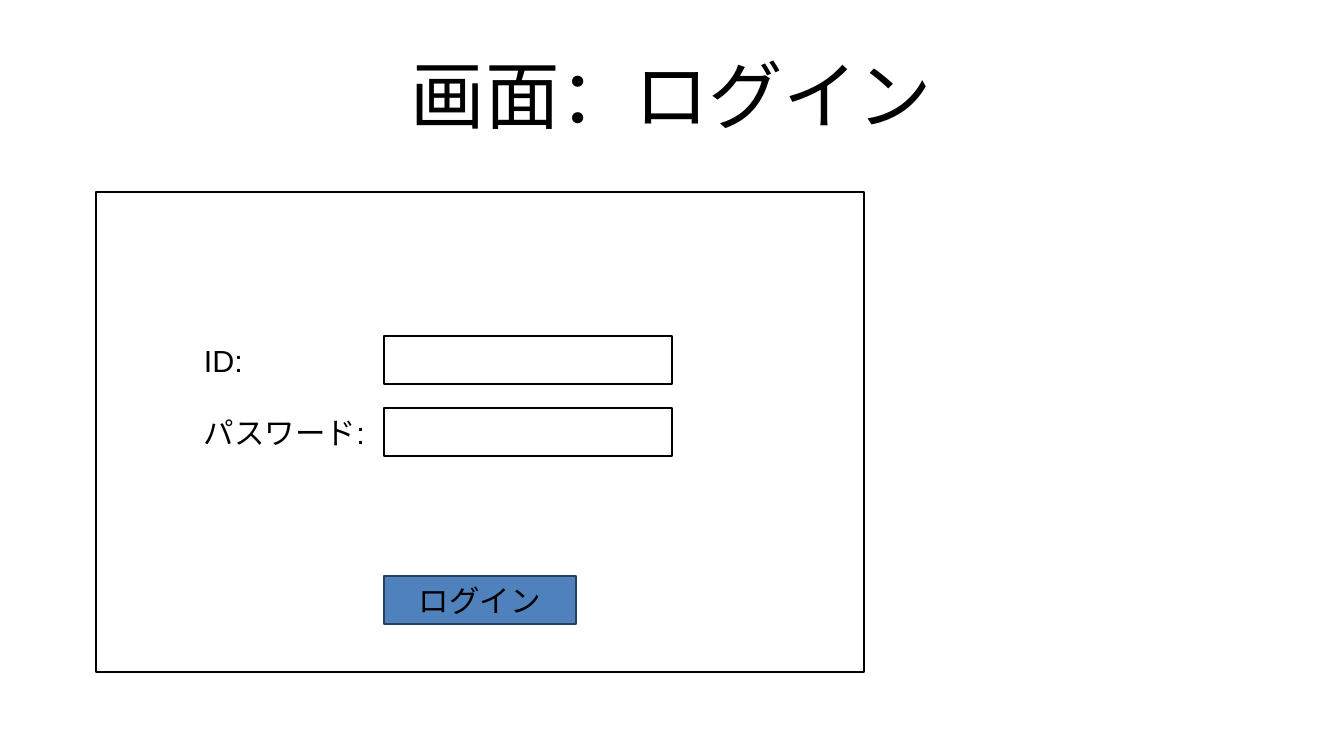
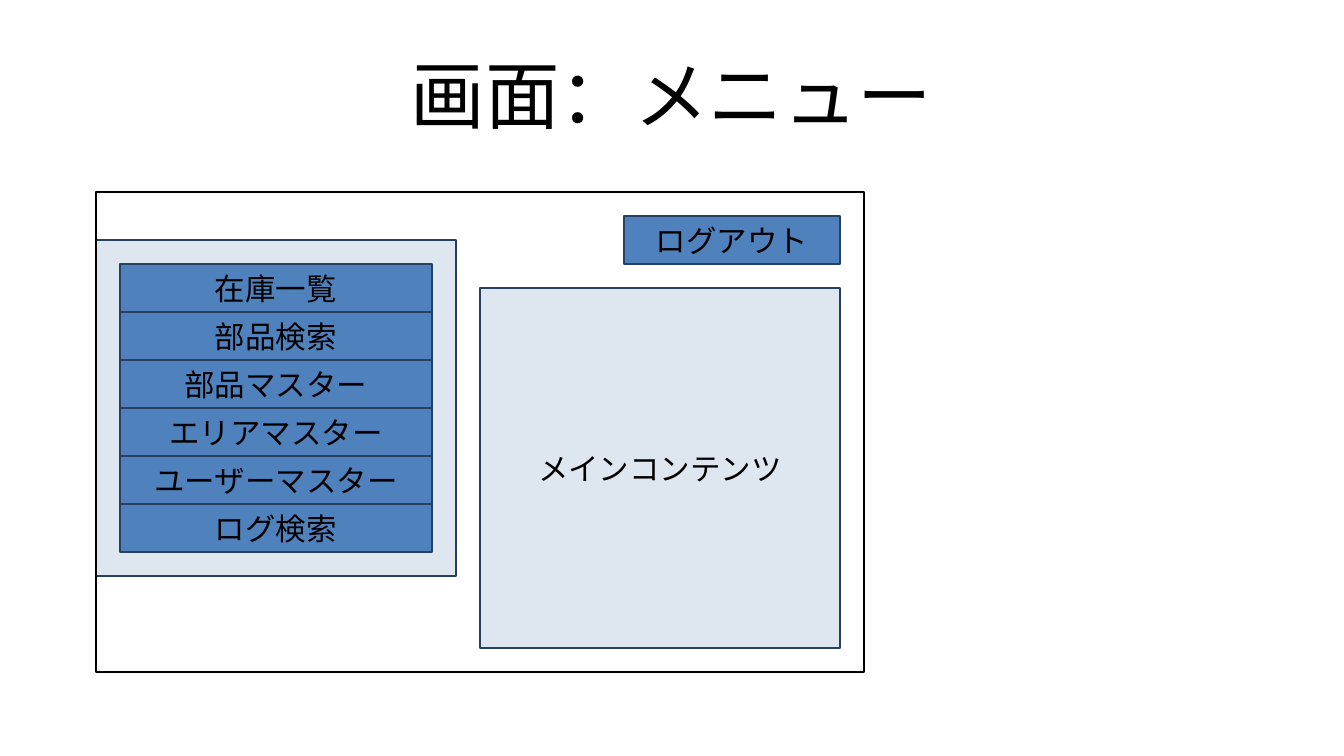
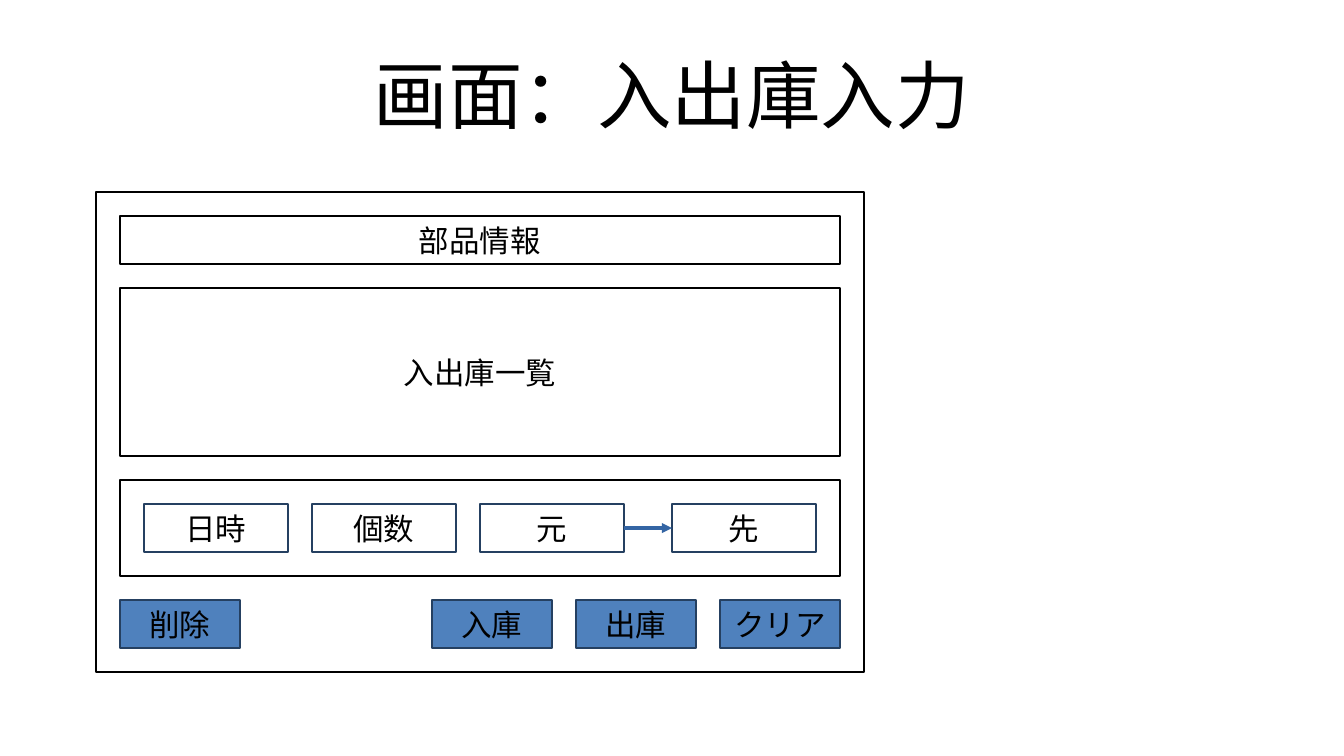
from dataclasses import dataclass

from lxml import etree
from pptx import Presentation
from pptx import util as u
from pptx.dml import color
from pptx.enum import shapes, text
from pptx.oxml import ns

COLOURS = {
    "ink": "000000",
    "button": "4F81BD",
    "panel": "DEE6EF",
    "edge": "254061",
    "arrow": "3465A4",
}
FONT = "Arial"
BODY_SIZE, TITLE_SIZE = 18, 44
ROW = 1  # height of buttons and fields, cm

INSETS = dict(margin_left=u.Cm(0.25), margin_right=u.Cm(0.25),
              margin_top=u.Cm(0.13), margin_bottom=u.Cm(0.13))
BOX_FRAME = dict(INSETS, word_wrap=True, vertical_anchor=text.MSO_ANCHOR.MIDDLE)
LABEL_FRAME = dict(INSETS, word_wrap=True, vertical_anchor=text.MSO_ANCHOR.TOP)
TITLE_FRAME = dict(BOX_FRAME, margin_left=0, margin_right=0,
                   margin_top=0, margin_bottom=0)


@dataclass(frozen=True)
class Box:
    """A rectangle; lengths in centimetres, colours by name."""
    left: float
    top: float
    width: float
    height: float = ROW
    caption: str = ""
    fill: str | None = None
    line: str = "ink"


@dataclass(frozen=True)
class Label:
    left: float
    top: float
    width: float
    height: float
    caption: str


@dataclass(frozen=True)
class Arrow:
    start: float
    end: float
    level: float


@dataclass(frozen=True)
class Screen:
    title: str
    widgets: list[Box | Label | Arrow]


WINDOW = Box(2, 4, 16, 10)


def button(left: float, top: float, width: float, caption: str) -> Box:
    return Box(left, top, width, ROW, caption, "button", "edge")


def rgb(name: str) -> color.RGBColor:
    return color.RGBColor.from_string(COLOURS[name])


def write(shape, caption: str, frame_format: dict, size: float, align) -> None:
    frame = shape.text_frame
    for name, value in frame_format.items():
        setattr(frame, name, value)
    paragraph = frame.paragraphs[0]
    paragraph.alignment = align
    run = paragraph.add_run()
    run.text = caption
    for name, value in dict(name=FONT, size=u.Pt(size)).items():
        setattr(run.font, name, value)
    run.font.color.rgb = rgb("ink")


def draw_box(slide, box: Box) -> None:
    shape = slide.shapes.add_shape(
        shapes.MSO_SHAPE.RECTANGLE,
        u.Cm(box.left), u.Cm(box.top), u.Cm(box.width), u.Cm(box.height))
    shape.shadow.inherit = False
    if box.fill:
        shape.fill.solid()
        shape.fill.fore_color.rgb = rgb(box.fill)
    else:
        shape.fill.background()
    shape.line.color.rgb = rgb(box.line)
    shape.line.width = 0
    if box.caption:
        write(shape, box.caption, BOX_FRAME, BODY_SIZE, text.PP_ALIGN.CENTER)


def draw_label(slide, label: Label, frame_format: dict = LABEL_FRAME,
               size: float = BODY_SIZE, align=text.PP_ALIGN.LEFT) -> None:
    shape = slide.shapes.add_textbox(
        u.Cm(label.left), u.Cm(label.top), u.Cm(label.width), u.Cm(label.height))
    write(shape, label.caption, frame_format, size, align)


def draw_arrow(slide, arrow: Arrow) -> None:
    connector = slide.shapes.add_connector(
        shapes.MSO_CONNECTOR.STRAIGHT,
        u.Cm(arrow.start), u.Cm(arrow.level), u.Cm(arrow.end), u.Cm(arrow.level))
    connector.line.color.rgb = rgb("arrow")
    connector.line.width = 0
    properties = connector.element.spPr
    etree.SubElement(properties.find(ns.qn("a:ln")), ns.qn("a:tailEnd"),
                     type="triangle")
    etree.SubElement(properties, ns.qn("a:effectLst"))


DRAW = {Box: draw_box, Label: draw_label, Arrow: draw_arrow}


def draw_screen(presentation, screen: Screen) -> None:
    slide = presentation.slides.add_slide(presentation.slide_layouts[6])
    draw_label(slide, Label(1.4, 0.63, 25.2, 2.63, screen.title),
               TITLE_FRAME, TITLE_SIZE, text.PP_ALIGN.CENTER)
    # The window outline lies over the widgets that touch it
    for widget in [*screen.widgets, WINDOW]:
        DRAW[type(widget)](slide, widget)


# Login: a label and a field per row
login_widgets = [button(8, 12, 4, "ログイン")]
for row, caption in enumerate(["ID:", "パスワード:"]):
    top = 7 + 1.5 * row
    login_widgets += [Label(4, top, 4, 0.96, caption), Box(8, top, 6)]

# Menu: stacked buttons on a panel, beside the main content
MENU = ["在庫一覧", "部品検索", "部品マスター",
        "エリアマスター", "ユーザーマスター", "ログ検索"]
menu_widgets = [
    Box(2, 5, 7.5, len(MENU) * ROW + 1, fill="panel", line="edge"),
    *[button(2.5, 5.5 + row * ROW, 6.5, caption)
      for row, caption in enumerate(MENU)],
    button(13, 4.5, 4.5, "ログアウト"),
    Box(10, 6, 7.5, 7.5, "メインコンテンツ", "panel", "edge"),
]

# Stock entry: three full-width sections, entry fields and actions
FIELDS = {"日時": 3, "個数": 6.5, "元": 10, "先": 14}
ACTIONS = {"削除": 2.5, "入庫": 9, "出庫": 12, "クリア": 15}
FIELD_WIDTH, FIELD_TOP = 3, 10.5
entry_widgets = [
    Box(2.5, 4.5, 15, ROW, "部品情報"),
    Box(2.5, 6, 15, 3.5, "入出庫一覧"),
    Box(2.5, 10, 15, 2),
    *[Box(left, FIELD_TOP, FIELD_WIDTH, ROW, caption, line="edge")
      for caption, left in FIELDS.items()],
    Arrow(FIELDS["元"] + FIELD_WIDTH, FIELDS["先"], FIELD_TOP + ROW / 2),
    *[button(left, 12.5, 2.5, caption) for caption, left in ACTIONS.items()],
]

SCREENS = [
    Screen("画面：ログイン", login_widgets),
    Screen("画面：メニュー", menu_widgets),
    Screen("画面：入出庫入力", entry_widgets),
]


def main() -> None:
    presentation = Presentation()
    presentation.slide_width = u.Cm(28)
    presentation.slide_height = u.Cm(15.75)
    for screen in SCREENS:
        draw_screen(presentation, screen)
    presentation.save("out.pptx")


if __name__ == "__main__":
    main()
